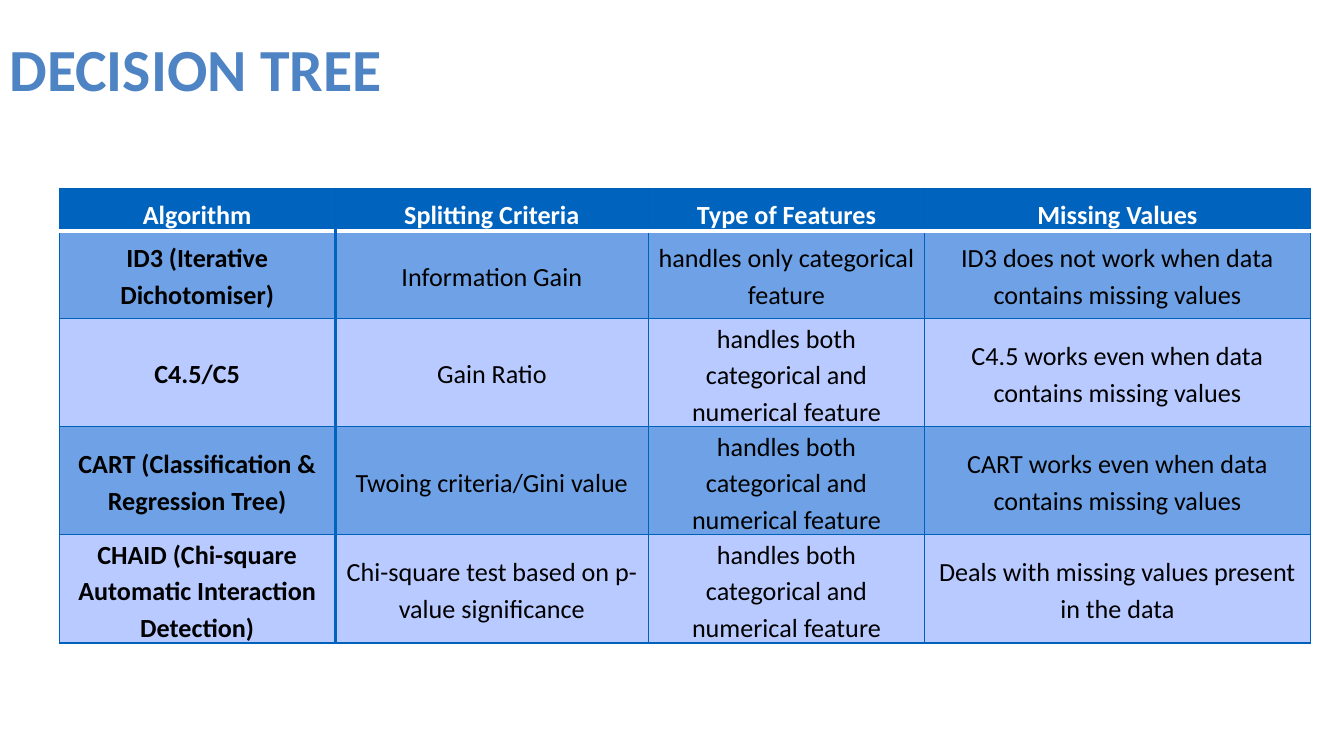
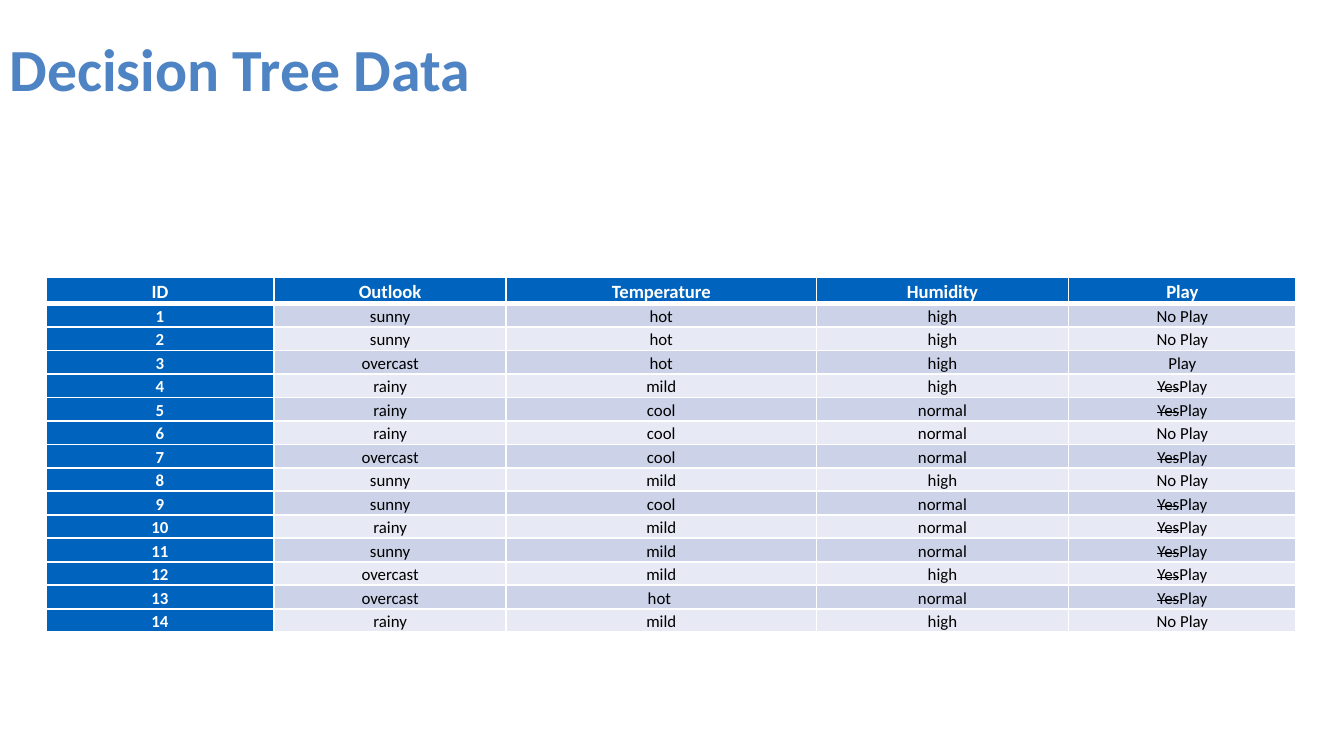
from dataclasses import dataclass

from lxml.etree import SubElement
from pptx import Presentation
from pptx.dml.color import RGBColor
from pptx.enum.text import MSO_ANCHOR, PP_ALIGN
from pptx.oxml.ns import qn
from pptx.util import Pt

SCALE = 4572


@dataclass(frozen=True)
class Theme:
    """Colours, font and type sizes of the deck."""
    font: str = "Calibri"
    title: str = "4E84C4"
    white: str = "FFFFFF"
    black: str = "000000"
    blue: str = "0063BE"
    grid: str = "0061BA"
    mid: str = "6EA1E5"
    pale: str = "B8CAFF"
    grey: str = "CCD3E8"
    mist: str = "E7EAF4"
    title_pt: int = 32
    text_pt: int = 14
    head_pt: int = 10
    data_pt: int = 9


T = Theme()


@dataclass(frozen=True)
class TableStyle:
    """Look of one table; a line is a colour and a width in points."""
    head_pt: int
    body_pt: int
    bands: tuple
    stub_color: str
    stub_fill: str | None
    head_anchor: MSO_ANCHOR
    grid: tuple
    head_rule: tuple
    stub_rule: tuple
    stub_top: tuple


ALGORITHM_STYLE = TableStyle(
    T.text_pt, T.text_pt, (T.mid, T.pale), T.black, None, MSO_ANCHOR.BOTTOM,
    grid=(T.grid, 0.75), head_rule=(T.white, 2), stub_rule=(T.blue, 2),
    stub_top=(T.grid, 0.75))
DATA_STYLE = TableStyle(
    T.head_pt, T.data_pt, (T.grey, T.mist), T.white, T.blue, MSO_ANCHOR.MIDDLE,
    grid=(T.white, 1), head_rule=(T.white, 3), stub_rule=(T.white, 1),
    stub_top=(T.white, 3))

BOTH = "handles both categorical and numerical feature"
ALGORITHMS = (
    ("Algorithm", "Splitting Criteria", "Type of Features", "Missing Values"),
    ("ID3 (Iterative Dichotomiser)", "Information Gain",
     "handles only categorical feature",
     "ID3 does not work when data contains missing values"),
    ("C4.5/C5", "Gain Ratio", BOTH,
     "C4.5 works even when data contains missing values"),
    ("CART (Classification & Regression Tree)", "Twoing criteria/Gini value",
     BOTH, "CART works even when data contains missing values"),
    ("CHAID (Chi-square Automatic Interaction Detection)",
     "Chi-square test based on p-value significance", BOTH,
     "Deals with missing values present in the data"),
)

NO = "No Play"
YES = (("Yes", True), ("Play", False))
DAYS = (
    ("sunny", "hot", "high", NO),
    ("sunny", "hot", "high", NO),
    ("overcast", "hot", "high", "Play"),
    ("rainy", "mild", "high", YES),
    ("rainy", "cool", "normal", YES),
    ("rainy", "cool", "normal", NO),
    ("overcast", "cool", "normal", YES),
    ("sunny", "mild", "high", NO),
    ("sunny", "cool", "normal", YES),
    ("rainy", "mild", "normal", YES),
    ("sunny", "mild", "normal", YES),
    ("overcast", "mild", "high", YES),
    ("overcast", "hot ", "normal", YES),
    ("rainy", "mild", "high", NO),
)
DATA = (("ID", "Outlook", "Temperature", "Humidity", "Play"),
        *((str(i), *day) for i, day in enumerate(DAYS, 1)))


def px(n):
    """Turn px into EMU."""
    return n * SCALE


def add_run(p, text, size, color, bold, strike=False):
    """Append one formatted run to a paragraph."""
    r = p.add_run()
    r.text = text
    r.font.name = T.font
    r.font.size = Pt(size)
    r.font.bold = bold
    r.font.color.rgb = RGBColor.from_string(color)
    if strike:
        r._r.get_or_add_rPr().set("strike", "sngStrike")


def set_borders(cell, style, row, col):
    """Draw the four sides of a cell by its place in the table."""
    sides = dict.fromkeys(("L", "R", "T", "B"), style.grid)
    if row == 0:
        sides["B"] = style.head_rule
    elif row == 1:
        sides["T"] = style.head_rule if col else style.stub_top
    if row and col < 2:
        sides["L" if col else "R"] = style.stub_rule
    tc_pr = cell._tc.get_or_add_tcPr()
    for side, (color, width) in sides.items():
        ln = SubElement(tc_pr, qn(f"a:ln{side}"), w=str(int(Pt(width))))
        fill = SubElement(ln, qn("a:solidFill"))
        SubElement(fill, qn("a:srgbClr"), val=color)


def fill_cell(cell, content, style, row, col):
    """Format one cell and write its runs."""
    head, stub = row == 0, col == 0
    set_borders(cell, style, row, col)
    band = style.bands[(row - 1) % 2]
    fill = T.blue if head else (stub and style.stub_fill) or band
    color = T.white if head else style.stub_color if stub else T.black
    cell.fill.solid()
    cell.fill.fore_color.rgb = RGBColor.from_string(fill)
    cell.margin_left = cell.margin_right = px(14)
    cell.margin_top = cell.margin_bottom = 0
    cell.vertical_anchor = style.head_anchor if head else MSO_ANCHOR.MIDDLE
    p = cell.text_frame.paragraphs[0]
    p.alignment = PP_ALIGN.CENTER
    p.line_spacing = 1.15
    p.space_before = Pt(5)
    runs = ((content, False),) if isinstance(content, str) else content
    for text, strike in runs:
        add_run(p, text, style.head_pt if head else style.body_pt,
                color, head or stub, strike)


def add_grid(s, x, y, widths, heights, rows, style):
    """Place a table with its top left corner at x, y."""
    table = s.shapes.add_table(len(rows), len(widths), px(x), px(y),
                               px(sum(widths)), px(sum(heights))).table
    table.horz_banding = False
    for column, w in zip(table.columns, widths):
        column.width = px(w)
    for i, (values, h) in enumerate(zip(rows, heights)):
        table.rows[i].height = px(h)
        for j, content in enumerate(values):
            fill_cell(table.cell(i, j), content, style, i, j)


def add_title(s, text, x=0, y=48, w=1944, h=106):
    """Place the slide title in its box."""
    tf = s.shapes.add_textbox(px(x), px(y), px(w), px(h)).text_frame
    tf.word_wrap = True
    tf.vertical_anchor = MSO_ANCHOR.MIDDLE
    tf.margin_left = tf.margin_right = px(14)
    tf.margin_top = tf.margin_bottom = px(8)
    add_run(tf.paragraphs[0], text, T.title_pt, T.title, True)


def add_table_slide(prs, title, *grid):
    """Add a slide with a title and one table."""
    s = prs.slides.add_slide(prs.slide_layouts[6])
    add_title(s, title)
    add_grid(s, *grid)


def main():
    """Build and save the deck."""
    prs = Presentation()
    prs.slide_width, prs.slide_height = px(2000), px(1125)
    add_table_slide(prs, "DECISION TREE", 88, 280, (411, 466, 411, 574),
                    (64, *[130] * 4), ALGORITHMS, ALGORITHM_STYLE)
    add_table_slide(prs, "Decision Tree Data", 68, 413,
                    (340, 345, 462, 375, 339), [35] * len(DATA), DATA,
                    DATA_STYLE)
    prs.save("out.pptx")


if __name__ == "__main__":
    main()
